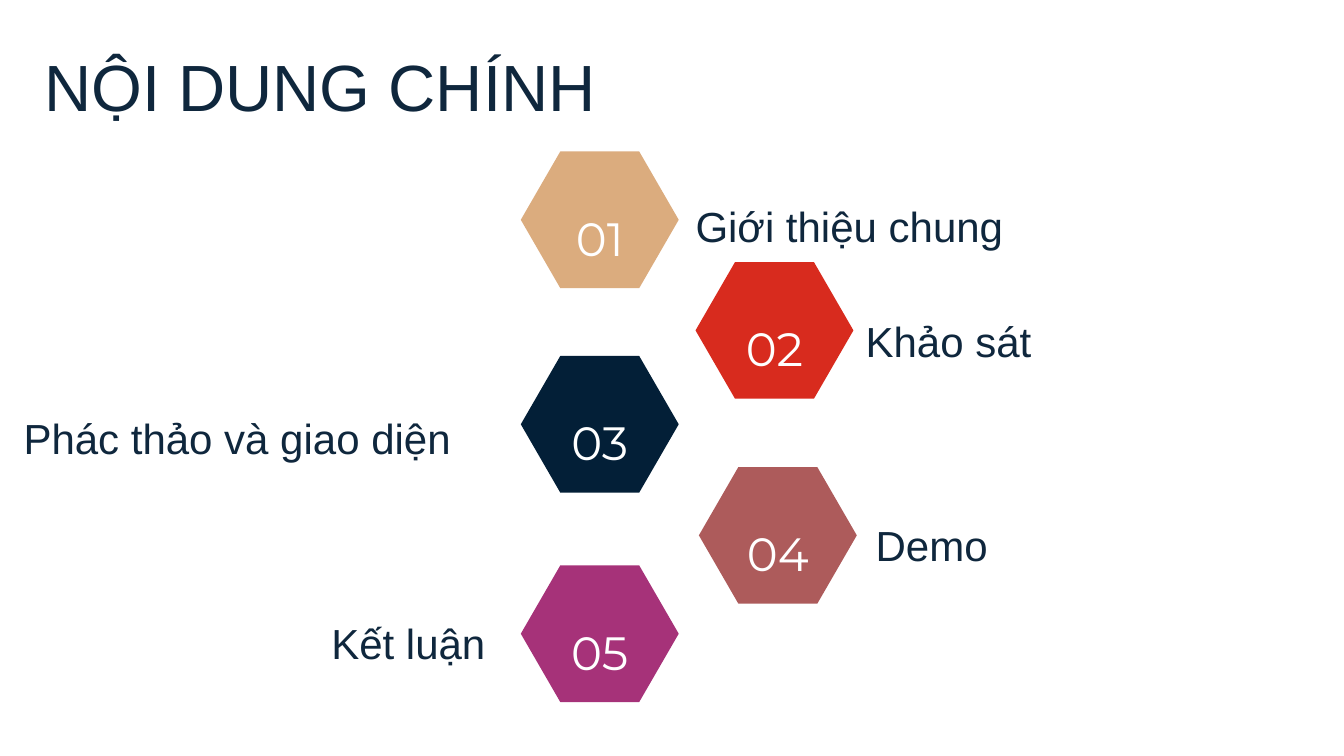
from pptx import Presentation
from pptx.dml.color import RGBColor
from pptx.enum.shapes import MSO_SHAPE
from pptx.enum.text import MSO_AUTO_SIZE, PP_ALIGN
from pptx.util import Pt

HEXAGON = MSO_SHAPE.HEXAGON
LEFT, CENTER = PP_ALIGN.LEFT, PP_ALIGN.CENTER
FIT_SHAPE = MSO_AUTO_SIZE.SHAPE_TO_FIT_TEXT

NAVY = "0F273D"
HEXAGON_WIDTH, HEXAGON_HEIGHT = 169.2, 146.4
NUMBER_OFFSET, NUMBER_HEIGHT = 38.4, 64.8
LABEL_HEIGHT = 61.2
LEFT_COLUMN = 558

# Label, fill, hexagon (left, top), label (left, top, width)
TOPICS = [
    ("Giới thiệu chung", "DBAC7E", (LEFT_COLUMN, 162.3), (745.2, 193.7, 378)),
    ("Khảo sát", "D82B1E", (745.2, 280.8), (927.4, 316.1, 219.6)),
    ("Phác thảo và giao diện", "031F37", (LEFT_COLUMN, 381.4), (25.2, 420.5, 526.3)),
    ("Demo", "AD5B5B", (748.8, 500.4), (938.2, 535, 207.4)),
    ("Kết luận", "A63279", (LEFT_COLUMN, 605.8), (355, 640.1, 189.4)),
]


def color(value):
    return RGBColor.from_string(value)


def add_text(shapes, text, box, *, size, font="Arial", fill=NAVY, align=LEFT):
    text_box = shapes.add_textbox(*(Pt(length) for length in box))
    frame = text_box.text_frame
    frame.margin_left = frame.margin_right = 0
    frame.margin_top = frame.margin_bottom = 0
    frame.word_wrap = True
    frame.auto_size = FIT_SHAPE
    paragraph = frame.paragraphs[0]
    paragraph.alignment = align
    paragraph.line_spacing = 1.4
    run = paragraph.add_run()
    run.text = text
    run.font.name = font
    run.font.size = Pt(size)
    run.font.color.rgb = color(fill)


def add_numbered_hexagon(slide, number, fill, left, top):
    group = slide.shapes.add_group_shape()
    hexagon = group.shapes.add_shape(
        HEXAGON, Pt(left), Pt(top), Pt(HEXAGON_WIDTH), Pt(HEXAGON_HEIGHT))
    hexagon.adjustments[0] = HEXAGON_WIDTH / 4 / HEXAGON_HEIGHT
    hexagon.shadow.inherit = False
    hexagon.fill.solid()
    hexagon.fill.fore_color.rgb = color(fill)
    hexagon.line.fill.background()
    add_text(group.shapes, f"{number:02d}",
             (left, top + NUMBER_OFFSET, HEXAGON_WIDTH, NUMBER_HEIGHT),
             size=50, font="Montserrat", fill="FFFFFF", align=CENTER)


def add_topic(slide, number, label, fill, hexagon_position, label_box):
    add_numbered_hexagon(slide, number, fill, *hexagon_position)
    add_text(slide.shapes, label, (*label_box, LABEL_HEIGHT), size=45)


def main():
    presentation = Presentation()
    presentation.slide_width, presentation.slide_height = Pt(1440), Pt(810)
    slide = presentation.slides.add_slide(presentation.slide_layouts[6])
    add_text(slide.shapes, "NỘI DUNG CHÍNH", (47.5, 15.8, 689.8, 94.3), size=70)
    for number, topic in enumerate(TOPICS, start=1):
        add_topic(slide, number, *topic)
    presentation.save("out.pptx")


if __name__ == "__main__":
    main()
